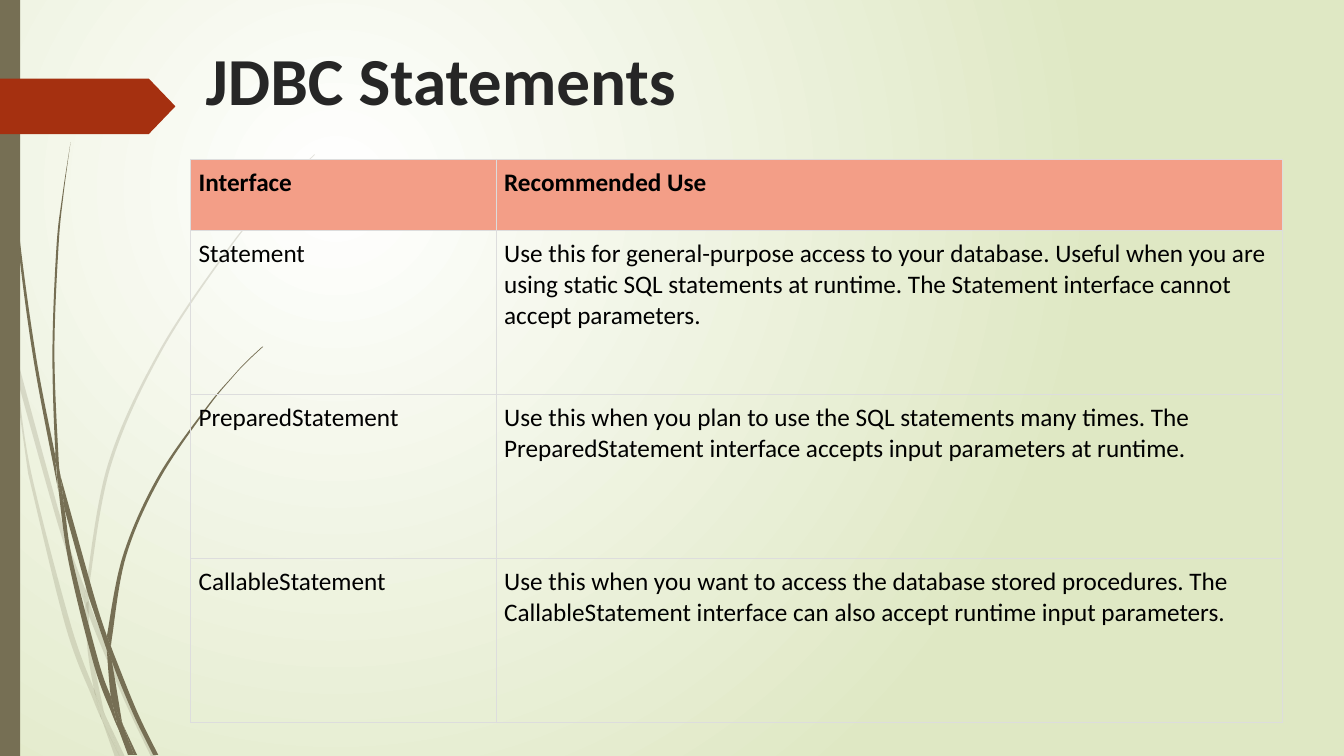
from lxml import etree
from pptx import Presentation
from pptx.dml.color import RGBColor
from pptx.enum.shapes import MSO_SHAPE as Preset
from pptx.enum.text import MSO_ANCHOR as Anchor, MSO_AUTO_SIZE as AutoSize, PP_ALIGN as Align
from pptx.oxml.ns import qn
from pptx.util import Inches, Pt

WHITE = RGBColor(0xFF, 0xFF, 0xFF)
PALE_GREEN = RGBColor(0xDF, 0xE8, 0xC4)
OLIVE = RGBColor(0x76, 0x6F, 0x54)
RUST = RGBColor(0xA5, 0x30, 0x10)
CHARCOAL = RGBColor(0x26, 0x26, 0x26)
BLACK = RGBColor(0x00, 0x00, 0x00)
SALMON = RGBColor(0xF3, 0x9E, 0x87)
RULE_GREY = RGBColor(0xDD, 0xDD, 0xDD)
FONT = "Calibri"

PALE_BLADES = [
    ([(0.11, 3.5), (0.09, 3.22), (0, 2.82)], [(0, 2.99), (0.1, 3.44), (0.11, 3.5)]),
    ([(0.85, 5.86), (0.62, 5.2), (0.14, 3.45)],
     [(0.17, 3.76), (0.58, 5.22), (0.84, 5.99)]),
    ([(0.88, 5.96), (0.88, 6.1), (1.23, 6.94), (1.5, 7.51)],
     [(1.55, 7.51), (1.27, 6.92), (0.92, 6.07)]),
    ([(1.19, 7.51), (1.24, 7.51)], [(1.05, 7.11)]),
    ([(0.93, 6.83), (0.7, 6.19), (0.31, 4.69), (0.17, 3.76), (0.11, 3.5)],
     [(0.28, 4.7), (0.65, 6.21), (0.92, 6.93), (1.01, 7.14), (0.99, 7.07)]),
    ([(0.84, 5.99), (0.87, 6.46), (0.93, 6.83), (0.96, 6.92), (1.05, 7.11)],
     [(1.03, 7.06), (0.91, 6.46), (0.88, 6.1), (0.88, 6.08)]),
    ([(0.88, 5.84), (1.1, 4.62), (1.6, 3.49), (2.29, 2.45), (2.68, 1.98), (2.9, 1.75), (3.12, 1.54)],
     [(3.12, 1.53), (2.89, 1.75), (2.68, 1.97), (2.28, 2.44), (1.58, 3.48), (1.07, 4.61),
      (0.85, 5.84), (0.85, 5.86), (0.88, 5.96)]),
    ([(1.01, 7.14), (1.14, 7.51)], [(1.19, 7.51)]),
    ([(0.88, 6.08), (0.88, 6.1), (0.88, 5.96)], [(0.85, 5.86), (0.84, 5.99)]),
    ([(0.96, 6.92), (0.93, 6.83), (0.99, 7.07), (1.01, 7.14), (1.19, 7.51)], [(1.05, 7.11)]),
]
DARK_BLADES = [
    ([(0.07, 1.1), (0.17, 2.33), (0.33, 3.55), (0.56, 4.77), (0.57, 4.81)],
     [(0.55, 4.57), (0.55, 4.53), (0.36, 3.55), (0.19, 2.32), (0.08, 1.09), (0.05, 0.48), (0.04, 0)],
     [(0.03, 0), (0.04, 0.48), (0.07, 1.1)]),
    ([(0.88, 5.92), (1.06, 6.45)],
     [(1.06, 6.33), (1.06, 6.31), (0.93, 5.9), (0.6, 4.72)], [(0.64, 5.05), (0.88, 5.92)]),
    ([(1.1, 6.41), (1.11, 6.56), (1.32, 7.08), (1.52, 7.49)],
     [(1.57, 7.49), (1.36, 7.06), (1.13, 6.49)]),
    ([(1.1, 6.91), (0.98, 6.57), (0.72, 5.56), (0.64, 5.05), (0.57, 4.77)],
     [(0.57, 4.77), (0.68, 5.57), (0.93, 6.59), (1.11, 7.08), (1.17, 7.22)], [(1.16, 7.17)]),
    ([(0.6, 4.72), (0.58, 4.53), (0.54, 3.49), (0.58, 2.45), (0.63, 1.93), (0.7, 1.41)],
     [(0.7, 1.41), (0.62, 1.93), (0.56, 2.45), (0.52, 3.49), (0.55, 4.49), (0.6, 4.72)]),
    ([(1.33, 7.49), (1.36, 7.49)], [(1.22, 7.19)]),
    ([(0.57, 4.77), (0.64, 5.05)], [(0.6, 4.72), (0.55, 4.49), (0.55, 4.53)]),
    ([(1.11, 6.33), (1.25, 5.52), (1.58, 4.76), (2.05, 4.06), (2.31, 3.74), (2.45, 3.59), (2.61, 3.44)],
     [(2.6, 3.44), (2.45, 3.58), (2.31, 3.73), (2.04, 4.05), (1.56, 4.74), (1.22, 5.51),
      (1.06, 6.31)], [(1.1, 6.41)]),
    ([(1.17, 7.22), (1.27, 7.49)], [(1.31, 7.49)]),
    ([(1.06, 6.45), (1.1, 6.91), (1.16, 7.06), (1.22, 7.19)],
     [(1.21, 7.16), (1.11, 6.56), (1.09, 6.51)]),
    ([(1.06, 6.45), (1.09, 6.51), (1.11, 6.56)], [(1.1, 6.41), (1.06, 6.31), (1.06, 6.33)]),
    ([(1.16, 7.06), (1.1, 6.91)], [(1.16, 7.17), (1.17, 7.22), (1.3, 7.49)],
     [(1.33, 7.49), (1.22, 7.19)]),
]
STATEMENT_ROWS = [
    ("Interface", "Recommended Use"),
    ("Statement",
     "Use this for general-purpose access to your database. Useful when you are using static SQL "
     "statements at runtime. The Statement interface cannot accept parameters."),
    ("PreparedStatement",
     "Use this when you plan to use the SQL statements many times. The PreparedStatement "
     "interface accepts input parameters at runtime."),
    ("CallableStatement",
     "Use this when you want to access the database stored procedures. The CallableStatement "
     "interface can also accept runtime input parameters."),
]


def paint_background(slide):
    """Fill the slide with a circular gradient centred up and to the left."""
    fill = slide.background.fill
    fill.gradient()
    for stop, color in zip(fill.gradient_stops, (WHITE, PALE_GREEN)):
        stop.color.rgb = color
    gradient = slide.element.find(".//" + qn("a:gradFill"))
    gradient.remove(gradient.find(qn("a:lin")))
    circle = etree.SubElement(gradient, qn("a:path"), path="circle")
    etree.SubElement(circle, qn("a:fillToRect"), l="50000", t="50000", r="100000", b="100000")


def paint(shape, color, opacity=100):
    """Give a shape a plain fill without line or shadow."""
    shape.shadow.inherit = False
    shape.line.fill.background()
    shape.fill.solid()
    shape.fill.fore_color.rgb = color
    if opacity < 100:
        tint = shape.element.spPr.find(".//" + qn("a:srgbClr"))
        etree.SubElement(tint, qn("a:alpha"), val=str(opacity * 1000))


def curve_controls(edge):
    """Yield the control points of a Catmull-Rom curve, one pair per segment."""
    padded = [edge[0], *edge, edge[-1]]
    for a, b, c, d in zip(padded, padded[1:], padded[2:], padded[3:]):
        yield (tuple(q + (r - p) / 6 for p, q, r in zip(a, b, c)),
               tuple(r - (s - q) / 6 for q, r, s in zip(b, c, d)))


def add_blade(slide, left, top, edges, opacity):
    """Draw one piece of grass, bounded by smooth edges that meet in corners."""
    edges = [[(left + Inches(x), top + Inches(y)) for x, y in edge] for edge in edges]
    knots = [knot for edge in edges for knot in edge]
    builder = slide.shapes.build_freeform(*knots[0])
    builder.add_line_segments(knots[1:])
    blade = builder.convert_to_shape()
    controls = []
    for edge in edges:
        controls += [*curve_controls(edge), None]
    for line, pair in zip(list(blade.element.iter(qn("a:lnTo"))), controls):
        if pair:
            line.tag = qn("a:cubicBezTo")
            for position, (x, y) in enumerate(pair):
                line.insert(position, etree.Element(
                    qn("a:pt"), x=str(round(x - blade.left)), y=str(round(y - blade.top))))
    paint(blade, OLIVE, opacity)


def add_side_decoration(slide, left, top, height):
    """Draw the grass, the side bar and the arrow tag."""
    for blades, opacity in ((PALE_BLADES, 20), (DARK_BLADES, 100)):
        for edges in blades:
            add_blade(slide, left, top, edges, opacity)
    bar = slide.shapes.add_shape(Preset.RECTANGLE, left, top, Inches(0.2), height)
    paint(bar, OLIVE)
    tag = slide.shapes.add_shape(
        Preset.PENTAGON, left, top + Inches(0.78), Inches(1.74), Inches(0.55))
    tag.adjustments[0] = 0.48
    paint(tag, RUST)


def set_title(slide, left, top, width, height):
    """Place and format the slide title."""
    title = slide.shapes.title
    title.left, title.top, title.width, title.height = left, top, width, height
    frame = title.text_frame
    frame.text = "JDBC Statements"
    frame.auto_size = AutoSize.NONE
    frame.vertical_anchor = Anchor.TOP
    heading = frame.paragraphs[0]
    heading.alignment = Align.LEFT
    heading.font.name, heading.font.size, heading.font.bold = FONT, Pt(48), True
    heading.font.color.rgb = CHARCOAL


def add_borders(cell):
    """Rule all four sides of a cell."""
    properties = cell._tc.get_or_add_tcPr()
    for position, side in enumerate(("a:lnL", "a:lnR", "a:lnT", "a:lnB")):
        rule = etree.Element(qn(side), w=str(Pt(0.75)))
        solid = etree.SubElement(rule, qn("a:solidFill"))
        etree.SubElement(solid, qn("a:srgbClr"), val=str(RULE_GREY))
        properties.insert(position, rule)


def fill_cell(cell, text, is_header):
    """Write and format one table cell."""
    cell.text = text
    cell.margin_left = cell.margin_right = cell.margin_top = cell.margin_bottom = Inches(0.08)
    if is_header:
        cell.fill.solid()
        cell.fill.fore_color.rgb = SALMON
    else:
        cell.fill.background()
    font = cell.text_frame.paragraphs[0].font
    font.name, font.size, font.bold = FONT, Pt(18), is_header
    font.color.rgb = BLACK
    add_borders(cell)


def add_statement_table(slide, left, top, width, height):
    """Add the table of statement interfaces and their uses."""
    table = slide.shapes.add_table(len(STATEMENT_ROWS), 2, left, top, width, height).table
    table.first_row = table.horz_banding = False
    table.columns[0].width = Inches(3.03)
    table.columns[1].width = width - Inches(3.03)
    header_height = Inches(0.71)
    body_height = (height - header_height) // (len(STATEMENT_ROWS) - 1)
    for row, texts in enumerate(STATEMENT_ROWS):
        table.rows[row].height = body_height if row else header_height
        for column, text in enumerate(texts):
            fill_cell(table.cell(row, column), text, row == 0)


def main():
    """Build the slide and save it."""
    deck = Presentation()
    deck.slide_width, deck.slide_height = Inches(13.33), Inches(7.5)
    slide = deck.slides.add_slide(deck.slide_layouts[5])
    paint_background(slide)
    add_side_decoration(slide, 0, 0, deck.slide_height)
    set_title(slide, Inches(1.94), Inches(0.33), Inches(7.35), Inches(0.96))
    add_statement_table(slide, Inches(1.89), Inches(1.58), Inches(10.83), Inches(5.59))
    deck.save("out.pptx")


if __name__ == "__main__":
    main()
